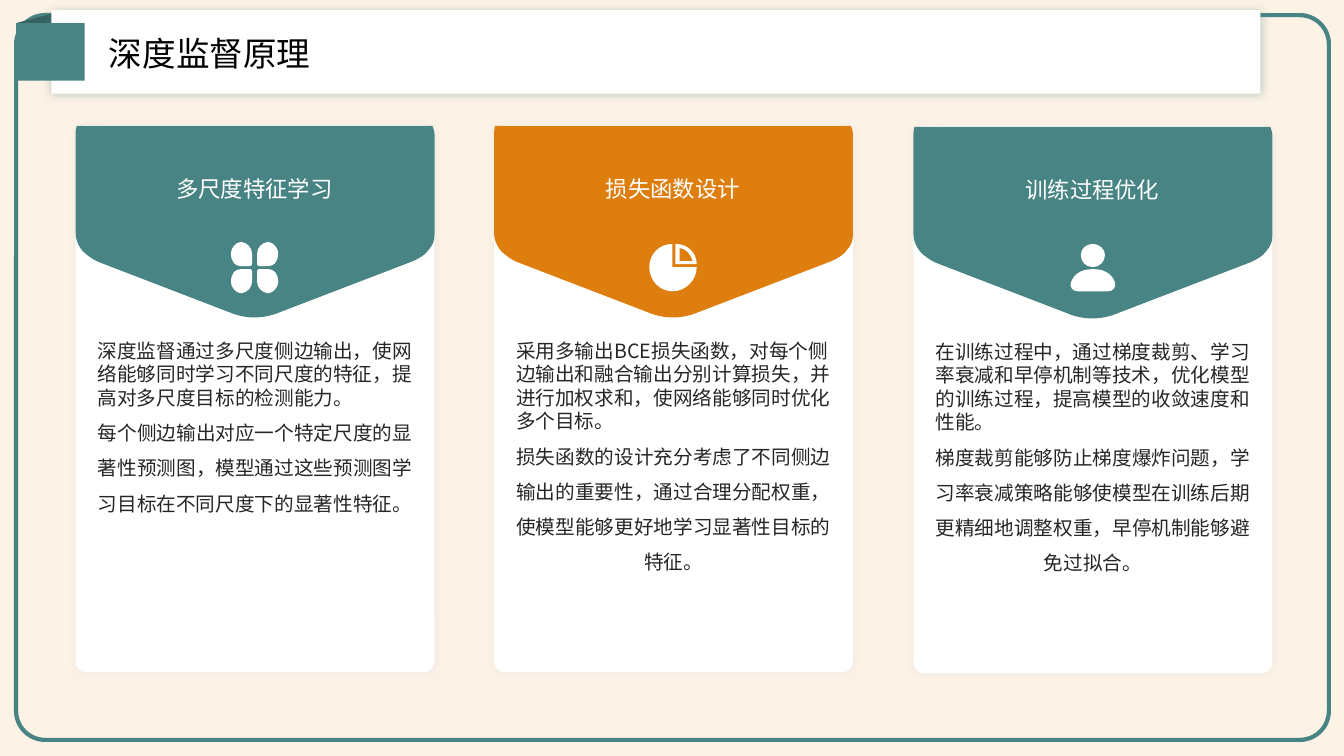
from dataclasses import dataclass
from typing import Any, Optional

from lxml.etree import SubElement
from pptx import Presentation
from pptx.dml.color import RGBColor
from pptx.enum.shapes import MSO_SHAPE
from pptx.enum.text import MSO_ANCHOR, MSO_AUTO_SIZE, PP_ALIGN
from pptx.oxml.ns import qn
from pptx.util import Inches, Pt

Segment = tuple[float, ...]  # two values: a point; six values: a cubic curve
Contour = list[Segment]


@dataclass(frozen=True)
class Theme:
    font: str = "Noto Sans CJK SC"
    teal: str = "488483"
    dark_teal: str = "366362"
    orange: str = "DD7E0E"
    cream: str = "FCE5CB"
    white: str = "FFFFFF"
    black: str = "000000"
    body: str = "262626"
    gray: str = "D9D9D9"
    title_size: int = 24
    heading_size: int = 16
    body_size: int = 14


@dataclass(frozen=True)
class Shadow:
    color: str
    opacity: int
    blur: float


@dataclass(frozen=True)
class Card:
    left: float
    top: float
    color: str
    heading: str
    body: str
    icon: list[Contour]


THEME = Theme()

# Outlines, in inches from the top left corner of a card
BANNER: Contour = [
    (0.01, 0.01), (3.54, 0.01), (3.55, 0.04, 3.56, 0.06, 3.56, 0.09), (3.56, 1.09),
    (3.56, 1.15, 3.54, 1.2, 3.5, 1.24), (3.47, 1.29, 3.41, 1.32, 3.35, 1.35),
    (2.02, 1.86), (1.95, 1.89, 1.86, 1.91, 1.77, 1.91),
    (1.69, 1.91, 1.6, 1.89, 1.53, 1.86), (0.23, 1.36),
    (0.16, 1.33, 0.11, 1.29, 0.07, 1.25), (0.02, 1.19, 0, 1.13, 0, 1.07), (0, 0.07),
]
PETAL: Contour = [
    (1.82, 1.43), (1.91, 1.43), (1.94, 1.43, 1.96, 1.44, 1.98, 1.46),
    (2.0, 1.49, 2.01, 1.52, 2.01, 1.55), (2.01, 1.58, 2.0, 1.61, 1.98, 1.63),
    (1.96, 1.65, 1.94, 1.67, 1.91, 1.67), (1.88, 1.67, 1.85, 1.65, 1.83, 1.63),
    (1.81, 1.61, 1.8, 1.58, 1.8, 1.55), (1.8, 1.45), (1.8, 1.44, 1.81, 1.43, 1.82, 1.43),
]
PIE: list[Contour] = [
    [(1.84, 1.22), (1.84, 1.35), (1.97, 1.35), (1.95, 1.28, 1.91, 1.23, 1.84, 1.22)],
    [(1.8, 1.18), (1.92, 1.18, 2.01, 1.27, 2.01, 1.38), (1.8, 1.38)],
    [(1.77, 1.18), (1.77, 1.41), (2.01, 1.41), (2.01, 1.54, 1.9, 1.65, 1.77, 1.65),
     (1.64, 1.65, 1.54, 1.54, 1.54, 1.41), (1.54, 1.28, 1.64, 1.18, 1.77, 1.18)],
]
PERSON: list[Contour] = [
    [(1.78, 1.42), (1.92, 1.42, 1.98, 1.49, 2.0, 1.56), (2.01, 1.6, 1.98, 1.64, 1.93, 1.64),
     (1.63, 1.64), (1.58, 1.64, 1.55, 1.6, 1.56, 1.56), (1.58, 1.49, 1.64, 1.42, 1.78, 1.42)],
    [(1.78, 1.17), (1.84, 1.17, 1.9, 1.22, 1.9, 1.28), (1.9, 1.35, 1.84, 1.4, 1.78, 1.4),
     (1.71, 1.4, 1.66, 1.35, 1.66, 1.28), (1.66, 1.22, 1.71, 1.17, 1.78, 1.17)],
]


def mirror(contour: Contour, axis: int, total: float) -> Contour:
    return [tuple(total - value if index % 2 == axis else value
                  for index, value in enumerate(segment)) for segment in contour]


LOWER_PETALS = [PETAL, mirror(PETAL, 0, 3.55)]
CLOVER = LOWER_PETALS + [mirror(petal, 1, 2.83) for petal in LOWER_PETALS]

CARDS = [
    Card(0.75, 1.24, THEME.teal, "多尺度特征学习",
         "深度监督通过多尺度侧边输出，使网络能够同时学习不同尺度的特征，提高对多尺度目标的检测能力。\n"
         "每个侧边输出对应一个特定尺度的显著性预测图，模型通过这些预测图学习目标在不同尺度下的显著性特征。",
         CLOVER),
    Card(4.9, 1.24, THEME.orange, "损失函数设计",
         "采用多输出BCE损失函数，对每个侧边输出和融合输出分别计算损失，并进行加权求和，使网络能够同时优化多个目标。\n"
         "损失函数的设计充分考虑了不同侧边输出的重要性，通过合理分配权重，使模型能够更好地学习显著性目标的特征。",
         PIE),
    Card(9.06, 1.25, THEME.teal, "训练过程优化",
         "在训练过程中，通过梯度裁剪、学习率衰减和早停机制等技术，优化模型的训练过程，提高模型的收敛速度和性能。\n"
         "梯度裁剪能够防止梯度爆炸问题，学习率衰减策略能够使模型在训练后期更精细地调整权重，早停机制能够避免过拟合。",
         PERSON),
]


def set_attributes(target: Any, values: dict[str, Any]) -> None:
    for name, value in values.items():
        setattr(target, name, value)


def add_alpha(color_element: Any, percent: int) -> None:
    SubElement(color_element, qn("a:alpha")).set("val", str(percent * 1000))


def paint(shape: Any, color: str) -> None:
    shape.fill.solid()
    shape.fill.fore_color.rgb = RGBColor.from_string(color)
    shape.line.fill.background()
    shape.shadow.inherit = False


def add_box(slide: Any, kind: MSO_SHAPE, bounds: tuple[float, ...], color: str,
            shadow: Optional[Shadow] = None) -> Any:
    shape = slide.shapes.add_shape(kind, *map(Inches, bounds))
    paint(shape, color)
    if shadow:
        effects = shape.element.spPr.find(qn("a:effectLst"))
        outer = SubElement(effects, qn("a:outerShdw"), blurRad=str(Pt(shadow.blur)),
                           dist="0", dir="0", algn="ctr", rotWithShape="0")
        add_alpha(SubElement(outer, qn("a:srgbClr"), val=shadow.color), shadow.opacity)
    return shape


def bend(line: Any, curve: Segment, origin: tuple[int, int]) -> None:
    """Turn a straight segment into a cubic curve with the same end."""
    line.tag = qn("a:cubicBezTo")
    line.remove(line[0])
    for x, y in zip(curve[::2], curve[1::2]):
        SubElement(line, qn("a:pt"), x=str(Inches(x) - origin[0]), y=str(Inches(y) - origin[1]))


def add_outline(slide: Any, contours: list[Contour], left: float, top: float, color: str) -> None:
    ends = [[(Inches(segment[-2]), Inches(segment[-1])) for segment in contour]
            for contour in contours]
    origin = tuple(min(point[axis] for points in ends for point in points) for axis in (0, 1))
    builder = slide.shapes.build_freeform(*ends[0][0])
    for index, points in enumerate(ends):
        if index:
            builder.move_to(*points[0])
        builder.add_line_segments(points[1:], close=True)
    shape = builder.convert_to_shape(Inches(left), Inches(top))
    paint(shape, color)

    lines = list(shape.element.iter(qn("a:lnTo")))
    segments = [segment for contour in contours for segment in contour[1:]]
    for line, segment in zip(lines, segments):
        if len(segment) == 6:
            bend(line, segment, origin)


def write(paragraph: Any, text: str, size: int, color: str, layout: dict[str, Any]) -> None:
    set_attributes(paragraph, layout)
    run = paragraph.add_run()
    run.text = text
    set_attributes(run.font, {"name": THEME.font, "size": Pt(size), "bold": False})
    run.font.color.rgb = RGBColor.from_string(color)
    SubElement(run.font._element, qn("a:ea"), typeface=THEME.font)


def add_card(slide: Any, card: Card) -> None:
    left, top = card.left, card.top
    panel = add_box(slide, MSO_SHAPE.ROUNDED_RECTANGLE, (left, top, 3.56, 5.43),
                    THEME.white, Shadow(THEME.gray, 40, 5))
    panel.adjustments[0] = 0.03
    add_outline(slide, [BANNER], left, top, card.color)

    body = slide.shapes.add_textbox(*map(Inches, (left + 0.12, top + 2.07, 3.32, 3.17))).text_frame
    body.word_wrap = True
    write(body.paragraphs[0], card.body, THEME.body_size, THEME.body,
          {"alignment": PP_ALIGN.CENTER, "line_spacing": 1.5})

    heading = slide.shapes.add_textbox(*map(Inches, (left + 0.11, top + 0.05, 3.33, 1.1))).text_frame
    set_attributes(heading, {"word_wrap": False, "vertical_anchor": MSO_ANCHOR.MIDDLE})
    write(heading.paragraphs[0], card.heading, THEME.heading_size, THEME.white,
          {"alignment": PP_ALIGN.CENTER, "line_spacing": 1.2})
    add_outline(slide, card.icon, left, top, THEME.white)


def main() -> None:
    presentation = Presentation()
    set_attributes(presentation, {"slide_width": Inches(13.33), "slide_height": Inches(7.5)})
    slide = presentation.slides.add_slide(presentation.slide_layouts[5])

    # Background and frame
    backdrop = add_box(slide, MSO_SHAPE.RECTANGLE, (0, 0, 13.33, 7.5), THEME.cream)
    add_alpha(backdrop.element.spPr.find(qn("a:solidFill"))[0], 48)
    frame = add_box(slide, MSO_SHAPE.ROUNDED_RECTANGLE, (0.16, 0.15, 13.02, 7.19), THEME.white)
    frame.adjustments[0] = 0.04
    frame.fill.background()
    frame.line.color.rgb = RGBColor.from_string(THEME.teal)
    frame.line.width = Pt(3)

    # Cards
    for card in CARDS:
        add_card(slide, card)

    # Title bar with its folded tab
    fold = add_box(slide, MSO_SHAPE.RECTANGLE, (0.22, 0.16, 0.47, 0.47), THEME.dark_teal)
    fold.rotation = 345.4
    add_box(slide, MSO_SHAPE.RECTANGLE, (0.51, 0.1, 11.99, 0.83), THEME.white,
            Shadow(THEME.teal, 36, 7))
    title = slide.shapes.title
    title.element.getparent().append(title.element)
    set_attributes(title, {"left": Inches(1.08), "top": Inches(0.24),
                           "width": Inches(8.51), "height": Inches(0.54)})
    set_attributes(title.text_frame, {
        "margin_left": 0, "margin_top": 0, "margin_right": 0, "margin_bottom": 0,
        "word_wrap": True, "auto_size": MSO_AUTO_SIZE.NONE, "vertical_anchor": MSO_ANCHOR.MIDDLE})
    write(title.text_frame.paragraphs[0], "深度监督原理", THEME.title_size, THEME.black,
          {"alignment": PP_ALIGN.LEFT, "line_spacing": 1.1})
    add_box(slide, MSO_SHAPE.RECTANGLE, (0.16, 0.23, 0.68, 0.57), THEME.teal)

    presentation.save("out.pptx")


if __name__ == "__main__":
    main()
